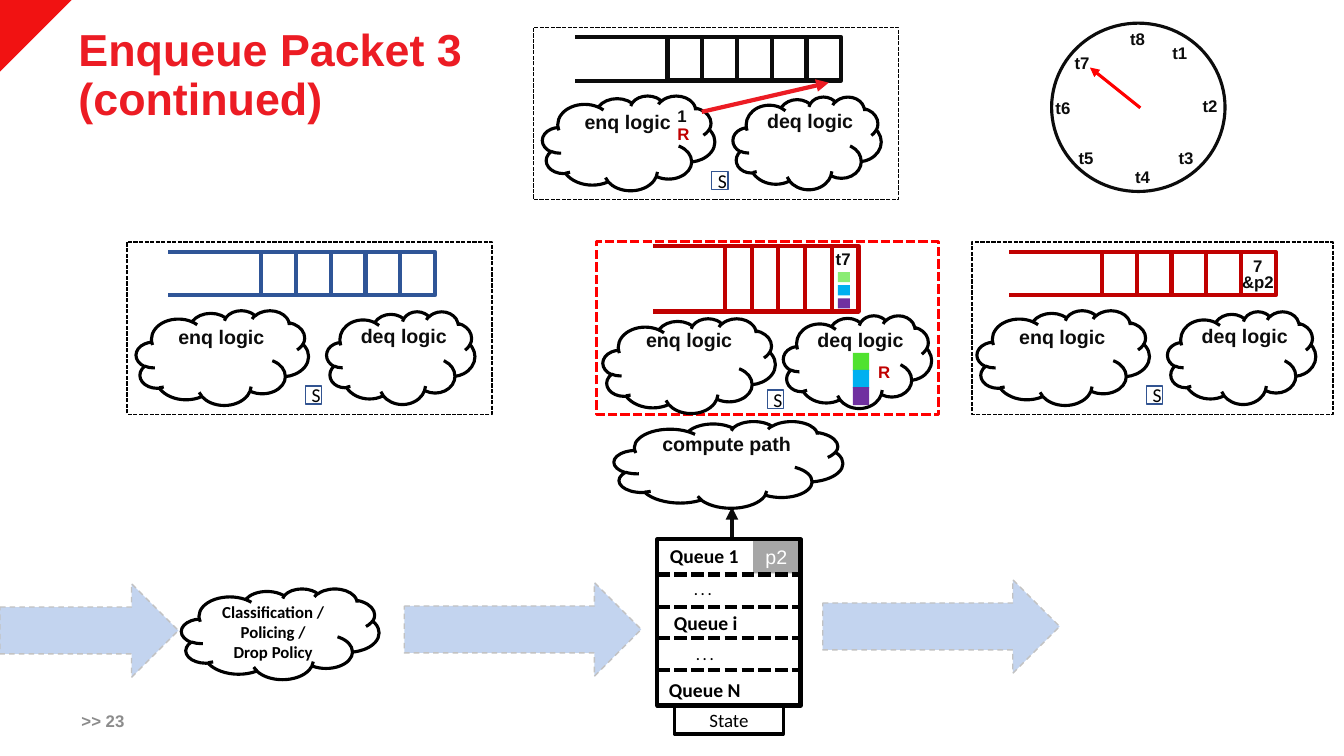
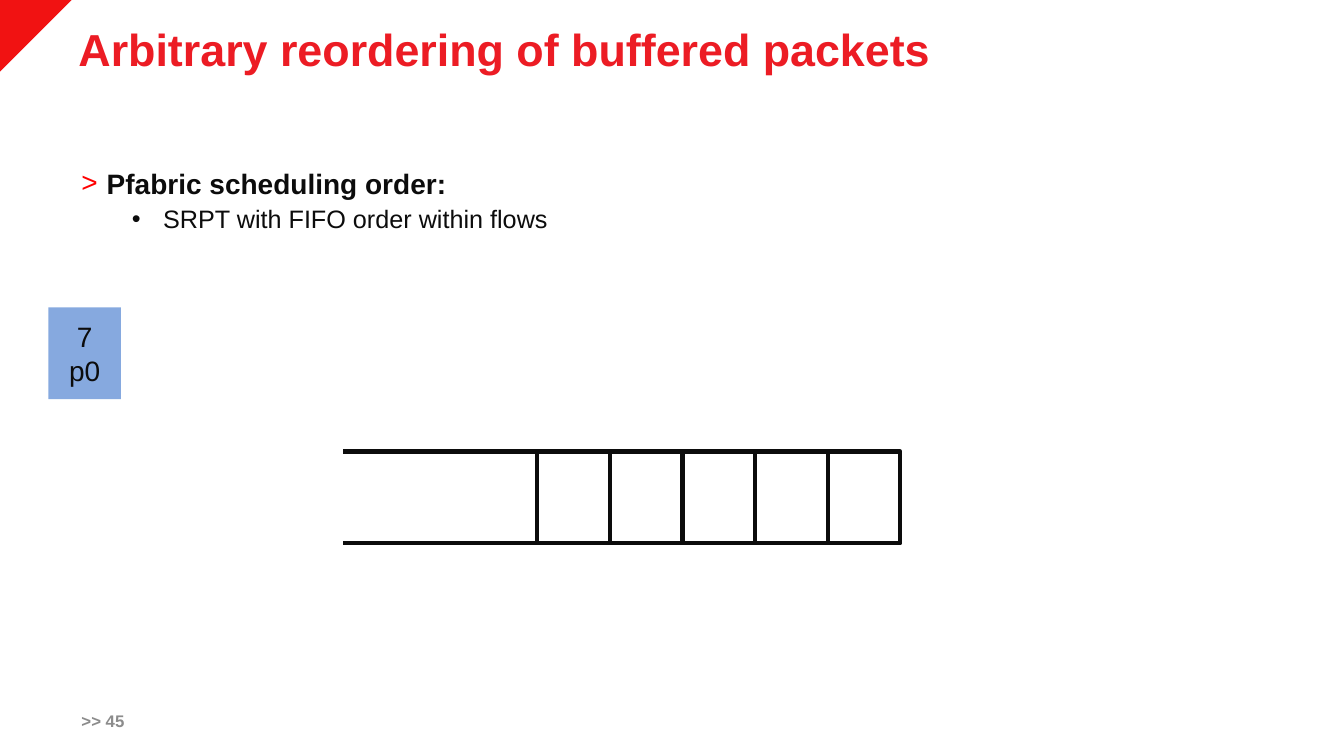
from lxml import etree
from pptx import Presentation
from pptx import util as u
from pptx.dml.color import RGBColor
from pptx.enum import dml, shapes, text
from pptx.oxml import ns

BLACK = RGBColor(0x00, 0x00, 0x00)
INK = RGBColor(0x0C, 0x0C, 0x0C)
WHITE = RGBColor(0xFF, 0xFF, 0xFF)
GREY = RGBColor(0x8C, 0x8C, 0x8C)
PACKET_GREY = RGBColor(0xA6, 0xA6, 0xA6)
CORNER_RED = RGBColor(0xF1, 0x12, 0x12)
TITLE_RED = RGBColor(0xEC, 0x1C, 0x24)
BRIGHT_RED = RGBColor(0xFF, 0x00, 0x00)
DARK_RED = RGBColor(0xC0, 0x00, 0x00)
QUEUE_BLUE = RGBColor(0x2F, 0x55, 0x97)
STATE_BLUE = RGBColor(0x32, 0x54, 0x91)
PACKET_BLUE = RGBColor(0x86, 0xA9, 0xDF)
FLOW_BLUE = RGBColor(0xC3, 0xD4, 0xEF)
FLOW_EDGE = RGBColor(0xC2, 0xC2, 0xC2)
LIGHT_GREEN = RGBColor(0x8A, 0xEC, 0x74)
GREEN = RGBColor(0x50, 0xE2, 0x2F)
CYAN = RGBColor(0x00, 0xB0, 0xF0)
PURPLE = RGBColor(0x70, 0x30, 0xA0)

RECT = shapes.MSO_SHAPE.RECTANGLE
CLOUD = shapes.MSO_SHAPE.CLOUD
ARROW = shapes.MSO_SHAPE.RIGHT_ARROW
OVAL = shapes.MSO_SHAPE.OVAL
DASH = dml.MSO_LINE.DASH
SHORT_DASH = dml.MSO_LINE.SQUARE_DOT
CENTER = text.PP_ALIGN.CENTER
LEFT = text.PP_ALIGN.LEFT
MIDDLE = text.MSO_ANCHOR.MIDDLE


def draw(page, kind, at, words="", size=14, font="Arial", color=INK, bold=False,
         align=CENTER, anchor=MIDDLE, wrap=True, fill=None, line=None, weight=1, dash=None):
    place = [u.Inches(value) for value in at]
    if kind is None:
        box = page.shapes.add_textbox(*place)
    else:
        box = page.shapes.add_shape(kind, *place)
        box.shadow.inherit = False
    if fill is None:
        box.fill.background()
    else:
        box.fill.solid()
        box.fill.fore_color.rgb = fill
    if line is None:
        box.line.fill.background()
    else:
        box.line.color.rgb = line
        box.line.width = u.Pt(weight)
        if dash:
            box.line.dash_style = dash
    if words:
        frame = box.text_frame
        frame.word_wrap = wrap
        if not wrap:
            frame.auto_size = text.MSO_AUTO_SIZE.SHAPE_TO_FIT_TEXT
        frame.vertical_anchor = anchor
        frame.text = words
        for para in frame.paragraphs:
            para.alignment = align
            for span in para.runs:
                span.font.name = font
                span.font.size = u.Pt(size)
                span.font.bold = bold
                span.font.color.rgb = color
    return box


def connect(page, start, end, color, weight=3, dash=None, arrow=False):
    points = [u.Inches(value) for value in (*start, *end)]
    link = page.shapes.add_connector(shapes.MSO_CONNECTOR.STRAIGHT, *points)
    link.line.color.rgb = color
    link.line.width = u.Pt(weight)
    if dash:
        link.line.dash_style = dash
    if arrow:
        etree.SubElement(link.line._get_or_add_ln(), ns.qn("a:tailEnd"), type="triangle")
    etree.SubElement(link._element.spPr, ns.qn("a:effectLst"))


deck = Presentation()
deck.slide_width = u.Inches(13.33)
deck.slide_height = u.Inches(7.5)

pages = []
for title, width, number in (
    ("Enqueue Packet 3 (continued)", 4.13, 23),
    ("Arbitrary reordering of buffered packets", 11.53, 45),
):
    page = deck.slides.add_slide(deck.slide_layouts[6])
    pages.append(page)
    side = u.Inches(0.71)
    outline = page.shapes.build_freeform(side, 0)
    outline.add_line_segments([(0, 0), (0, side)], close=True)
    corner = outline.convert_to_shape()
    corner.shadow.inherit = False
    corner.fill.solid()
    corner.fill.fore_color.rgb = CORNER_RED
    corner.line.fill.background()
    heading = draw(page, None, (0.68, 0.23, width, 0.55), title, 32, color=TITLE_RED,
                   bold=True, align=LEFT, anchor=text.MSO_ANCHOR.TOP)
    heading.text_frame.paragraphs[0].line_spacing = 0.9
    draw(page, None, (0.71, 6.95, 0.99, 0.4), f">> {number}", 12, color=GREY,
         bold=True, align=LEFT)
packet_page, order_page = pages

for page, left, top, lead, cell, height, color in (
    (packet_page, 1.67, 2.5, 0.92, 0.345, 0.43, QUEUE_BLUE),
    (packet_page, 5.7, 0.37, 0.92, 0.345, 0.43, INK),
    (packet_page, 10.01, 2.5, 0.92, 0.345, 0.43, DARK_RED),
    (packet_page, 6.48, 2.44, 0.71, 0.265, 0.65, DARK_RED),
    (order_page, 3.4, 4.48, 1.93, 0.72, 0.91, INK),
):
    for slot in range(5):
        draw(page, RECT, (left + lead + slot * cell, top, cell, height), line=color, weight=3)
    for edge in (top, top + height):
        connect(page, (left + lead, edge), (left, edge), color)

regular = ((0.09, 0.68), (1.98, 0.69), (0.41, 0.77), (2.22, 0.76), (1.77, 1.43))
active = ((0.06, 0.76), (1.85, 0.73), (0.39, 0.8), (2.09, 0.8), (1.69, 1.47))
parts = (
    (CLOUD, 1.71, 0.94, dict(line=BLACK, weight=2.25)),
    (CLOUD, 1.47, 0.92, dict(line=BLACK, weight=2.25)),
    (None, 1.06, 0.34, dict(words="enq logic", bold=True, align=LEFT, wrap=False)),
    (None, 1.06, 0.34, dict(words="deq logic", bold=True, align=LEFT, wrap=False)),
    (RECT, 0.16, 0.18, dict(words="S", font="Calibri", color=BLACK, line=STATE_BLUE)),
)
for left, top, inset, width, offsets, color, weight in (
    (1.26, 2.4, 0, 3.62, regular, BLACK, 1),
    (5.29, 0.27, 0, 3.62, regular, BLACK, 1),
    (9.6, 2.4, 0.04, 3.58, regular, BLACK, 1),
    (5.92, 2.4, 0, 3.39, active, BRIGHT_RED, 2.25),
):
    draw(packet_page, RECT, (left + inset, top, width, 1.71), line=color, weight=weight,
         dash=SHORT_DASH)
    for (across, down), (kind, wide, high, style) in zip(offsets, parts):
        draw(packet_page, kind, (left + across, top + down, wide, high), **style)

for left, top, width in ((0, 5.79, 1.77), (4.01, 5.78, 2.35), (8.16, 5.75, 2.35)):
    draw(packet_page, ARROW, (left, top, width, 0.93), fill=FLOW_BLUE, line=FLOW_EDGE, dash=DASH)
draw(packet_page, CLOUD, (1.8, 5.84, 1.96, 0.9), "Classification / Policing /\nDrop Policy", 12,
     "Calibri", BLACK, True, line=BLACK, weight=2.25)

connect(packet_page, (7.26, 5.36), (7.26, 5.03), INK, arrow=True)
draw(packet_page, CLOUD, (6.09, 4.18, 2.27, 0.86), line=BLACK, weight=2.25)
draw(packet_page, RECT, (7.47, 5.35, 0.46, 0.34), "p2", color=WHITE, fill=PACKET_GREY)
draw(packet_page, RECT, (6.52, 5.35, 1.42, 1.65), line=BLACK, weight=3)
for height in (5.7, 6.02, 6.33, 6.65):
    connect(packet_page, (6.52, height), (7.93, height), BLACK, dash=SHORT_DASH)
for words, size, at in (
    ("Queue 1", 14, (6.54, 5.34, 0.89, 0.34)),
    (". . .", 10, (6.78, 5.72, 0.38, 0.27)),
    ("Queue i", 14, (6.58, 6.01, 0.84, 0.34)),
    (". . .", 10, (6.8, 6.36, 0.38, 0.27)),
    ("Queue N", 14, (6.53, 6.67, 0.92, 0.34)),
):
    draw(packet_page, None, at, words, size, "Calibri", BLACK, True, wrap=False)
draw(packet_page, RECT, (6.69, 7, 1.08, 0.28), "State", 13.5, "Calibri", BLACK,
     line=BLACK, weight=2.5)

for words, size, color, at in (
    ("compute path", 14, INK, (6.47, 4.23, 1.48, 0.34)),
    ("7", 12, INK, (12.33, 2.49, 0.29, 0.3)),
    ("&p2", 12, INK, (12.22, 2.65, 0.52, 0.3)),
    ("t7", 12, INK, (8.19, 2.42, 0.35, 0.3)),
    ("R", 12, DARK_RED, (8.61, 3.54, 0.32, 0.3)),
    ("1", 12, INK, (6.62, 1, 0.29, 0.3)),
    ("R", 12, DARK_RED, (6.62, 1.18, 0.32, 0.3)),
):
    draw(packet_page, None, at, words, size, color=color, bold=True, align=LEFT, wrap=False)

for left, top, width, height, step, colors in (
    (8.31, 2.7, 0.12, 0.1, 0.13, (LIGHT_GREEN, CYAN, PURPLE)),
    (8.46, 3.5, 0.16, 0.18, 0.17, (GREEN, CYAN, PURPLE)),
):
    for index, color in enumerate(colors):
        draw(packet_page, RECT, (left, top + index * step, width, height), fill=color)

connect(packet_page, (6.96, 1.11), (8.22, 0.82), TITLE_RED, arrow=True)
draw(packet_page, OVAL, (10.43, 0.23, 1.72, 1.67), line=INK, weight=2.25)
clock = ((11.53, 0.37), (11.83, 0.9), (11.59, 1.42), (11.16, 1.6),
         (10.6, 1.42), (10.37, 0.92), (10.56, 0.47), (11.11, 0.24))
for tick, (left, top) in enumerate(clock, 1):
    draw(packet_page, None, (left, top, 0.38, 0.3), f"t{tick}", 12, bold=True, align=LEFT)
connect(packet_page, (11.31, 1.07), (10.81, 0.67), BRIGHT_RED, 2.25, arrow=True)

body = draw(order_page, None, (0.71, 1.6, 11.5, 1.15),
            "Pfabric scheduling order:\nSRPT with FIFO order within flows",
            align=LEFT, anchor=text.MSO_ANCHOR.TOP)
for para, level, size, bold, before, spacing, margin, indent, mark, color in zip(
    body.text_frame.paragraphs, (0, 1), (20, 18), (True, False), (12, 5), (1.0, 0.9),
    (0.25, 0.81), (-0.25, -0.31), ("˃", "•"), (BRIGHT_RED, INK),
):
    para.level = level
    para.space_before = u.Pt(before)
    para.line_spacing = spacing
    para.runs[0].font.size = u.Pt(size)
    para.runs[0].font.bold = bold
    props = para._p.get_or_add_pPr()
    props.set("marL", str(u.Inches(margin)))
    props.set("indent", str(u.Inches(indent)))
    tint = etree.SubElement(props, ns.qn("a:buClr"))
    etree.SubElement(tint, ns.qn("a:srgbClr"), val=str(color))
    etree.SubElement(props, ns.qn("a:buFont"), typeface="Arial")
    etree.SubElement(props, ns.qn("a:buChar"), char=mark)

draw(order_page, RECT, (0.48, 3.05, 0.72, 0.91), "7\np0", 20, fill=PACKET_BLUE)

deck.save("out.pptx")
